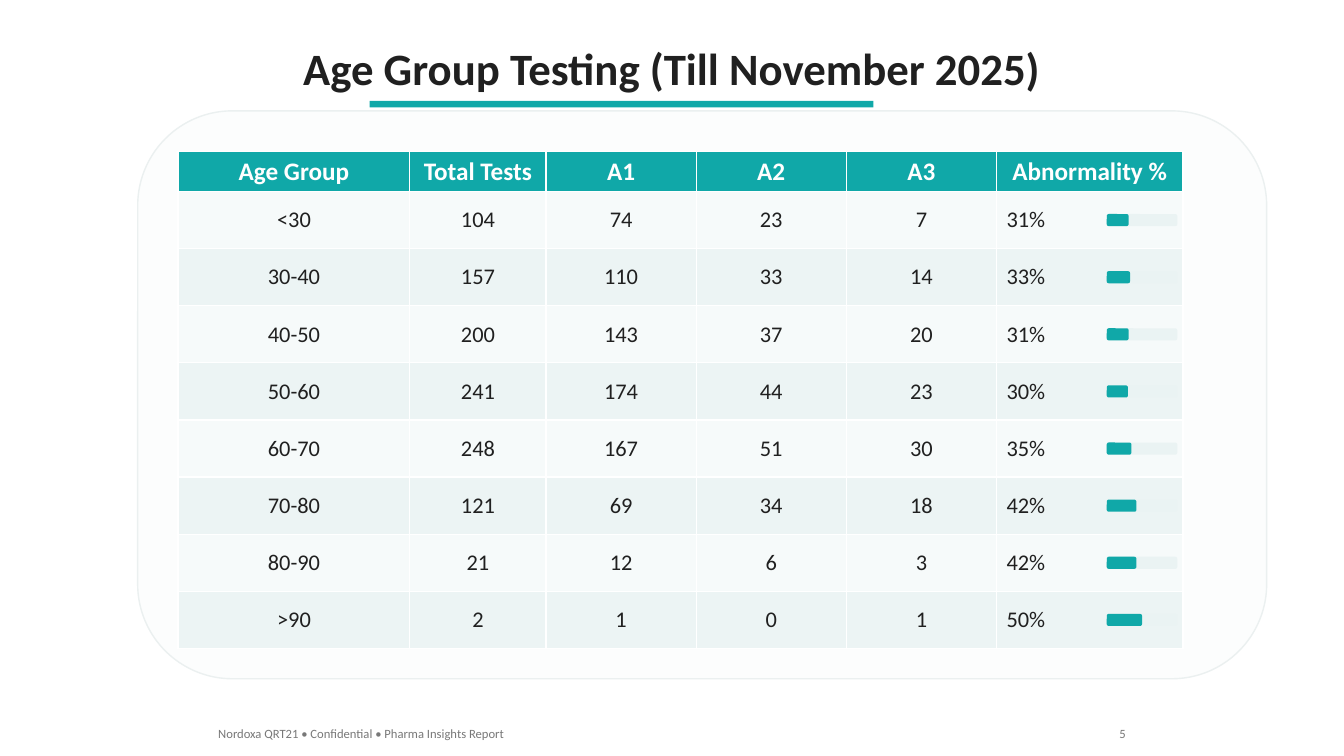
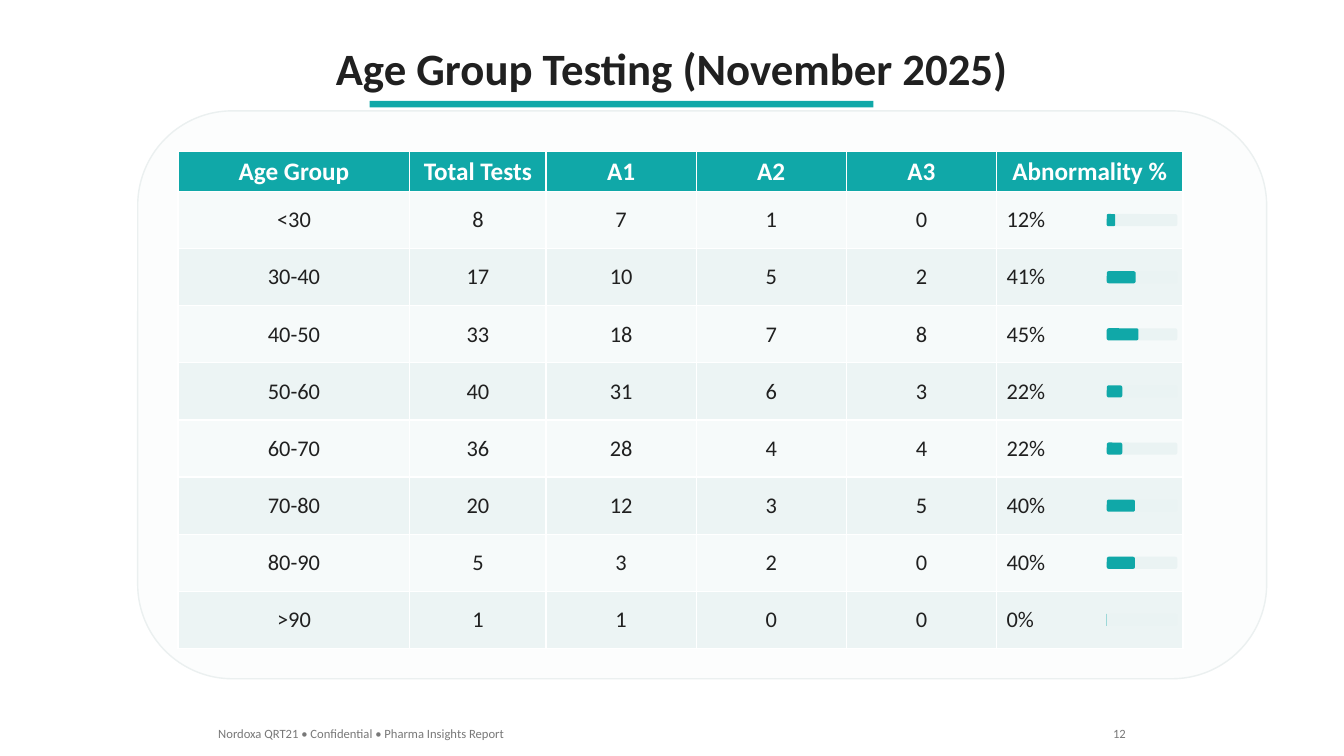
from pptx import Presentation
from pptx.dml.color import RGBColor
from pptx.enum.shapes import MSO_SHAPE
from pptx.enum.text import MSO_ANCHOR, PP_ALIGN
from pptx.util import Emu, Pt

RECT, ROUND = MSO_SHAPE.RECTANGLE, MSO_SHAPE.ROUNDED_RECTANGLE
LEFT, MID, RIGHT = PP_ALIGN.LEFT, PP_ALIGN.CENTER, PP_ALIGN.RIGHT
CENTRE = MSO_ANCHOR.MIDDLE

WIDE, HIGH = 12192000, 6858000
COLS, ROWS = 400, 225
FONT = "Calibri"
HUES = {
    "ink": "202020", "white": "FFFFFF", "teal": "10A8A8", "gray": "787878",
    "card": "FCFDFD", "edge": "EBF0F0", "track": "EAF3F3",
    "odd": "F6FAFA", "even": "ECF4F4",
}
FOOT = "Nordoxa QRT21 • Confidential • Pharma Insights Report"
HEADS = ["Age Group", "Total Tests", "A1", "A2", "A3", "Abnormality %"]
AGES = ["<30", "30-40", "40-50", "50-60", "60-70", "70-80", "80-90", ">90"]
SPANS = [69, 40.5, 44.7, 44.7, 44.7, 55.5]
GRID_X, GRID_Y, HEAD_H, ROW_H = 53, 45, 12, 17
BAR_X, BAR_W, BAR_H = 329.4, 21, 3.6

SLIDES = [
    ("Age Group Testing (Till November 2025)", 5, [
        (104, 74, 23, 7, 31), (157, 110, 33, 14, 33),
        (200, 143, 37, 20, 31), (241, 174, 44, 23, 30),
        (248, 167, 51, 30, 35), (121, 69, 34, 18, 42),
        (21, 12, 6, 3, 42), (2, 1, 0, 1, 50),
    ]),
    ("Age Group Testing (November 2025)", 12, [
        (8, 7, 1, 0, 12), (17, 10, 5, 2, 41),
        (33, 18, 7, 8, 45), (40, 31, 6, 3, 22),
        (36, 28, 4, 4, 22), (20, 12, 3, 5, 40),
        (5, 3, 2, 0, 40), (1, 1, 0, 0, 0),
    ]),
]


def hue(name):
    """Return a named colour."""
    return RGBColor.from_string(HUES[name])


def across(cols):
    """Turn grid columns into a length."""
    return Emu(round(cols * WIDE / COLS))


def down(rows):
    """Turn grid rows into a length."""
    return Emu(round(rows * HIGH / ROWS))


def area(x, y, w, h):
    """Turn a grid area into left, top, width and height."""
    return across(x), down(y), across(w), down(h)


def write(frame, text, size=16, color="ink", bold=False, align=MID):
    """Put one formatted line in a text frame."""
    para = frame.paragraphs[0]
    para.alignment = align
    run = para.add_run()
    run.text = text
    run.font.name = FONT
    run.font.size = Pt(size)
    run.font.bold = bold
    run.font.color.rgb = hue(color)


def label(slide, spot, text, **style):
    """Add a text box."""
    frame = slide.shapes.add_textbox(*area(*spot)).text_frame
    frame.word_wrap = True
    write(frame, text, **style)


def block(slide, kind, spot, fill, edge=None):
    """Add a filled shape with an optional outline."""
    shape = slide.shapes.add_shape(kind, *area(*spot))
    shape.shadow.inherit = False
    shape.fill.solid()
    shape.fill.fore_color.rgb = hue(fill)
    if edge:
        shape.line.color.rgb = hue(edge)
        shape.line.width = Pt(1)
    else:
        shape.line.fill.background()


def fill_row(table, row, texts, fill, last=MID, **style):
    """Fill one table row, aligning its last cell separately."""
    for col, text in enumerate(texts):
        cell = table.cell(row, col)
        cell.fill.solid()
        cell.fill.fore_color.rgb = hue(fill)
        cell.vertical_anchor = CENTRE
        align = last if col == len(texts) - 1 else MID
        write(cell.text_frame, text, align=align, **style)


def grid(slide, data):
    """Add the table of tests by age group."""
    spot = GRID_X, GRID_Y, sum(SPANS), HEAD_H + ROW_H * len(data)
    table = slide.shapes.add_table(
        len(data) + 1, len(HEADS), *area(*spot)).table
    for col, span in zip(table.columns, SPANS):
        col.width = across(span)
    for num, row in enumerate(table.rows):
        row.height = down(ROW_H if num else HEAD_H)
    fill_row(table, 0, HEADS, "teal", size=18, color="white", bold=True)
    for num, (age, (*counts, rate)) in enumerate(zip(AGES, data), 1):
        texts = [age, *map(str, counts), f"{rate}%"]
        fill_row(table, num, texts, "odd" if num % 2 else "even", last=LEFT)


def bars(slide, rates):
    """Add a progress bar centred on each table row."""
    for num, rate in enumerate(rates):
        y = GRID_Y + HEAD_H + ROW_H * (num + 0.5) - BAR_H / 2
        block(slide, ROUND, (BAR_X, y, BAR_W, BAR_H), "track")
        block(slide, ROUND, (BAR_X, y, BAR_W * rate / 100, BAR_H), "teal")


def page(deck, title, number, data):
    """Build one slide."""
    slide = deck.slides.add_slide(deck.slide_layouts[6])
    label(slide, (86, 10.5, 228, 19.2), title, size=32, bold=True)
    block(slide, RECT, (110, 30, 150, 2), "teal")
    block(slide, ROUND, (41, 33, 336, 169), "card", edge="edge")
    grid(slide, data)
    bars(slide, [row[-1] for row in data])
    small = {"size": 9, "color": "gray"}
    label(slide, (62, 214.5, 100, 7.5), FOOT, align=LEFT, **small)
    label(slide, (328, 214.5, 10, 7.5), str(number), align=RIGHT, **small)


def main():
    """Build and save the deck."""
    deck = Presentation()
    deck.slide_width, deck.slide_height = Emu(WIDE), Emu(HIGH)
    for title, number, data in SLIDES:
        page(deck, title, number, data)
    deck.save("out.pptx")


if __name__ == "__main__":
    main()
